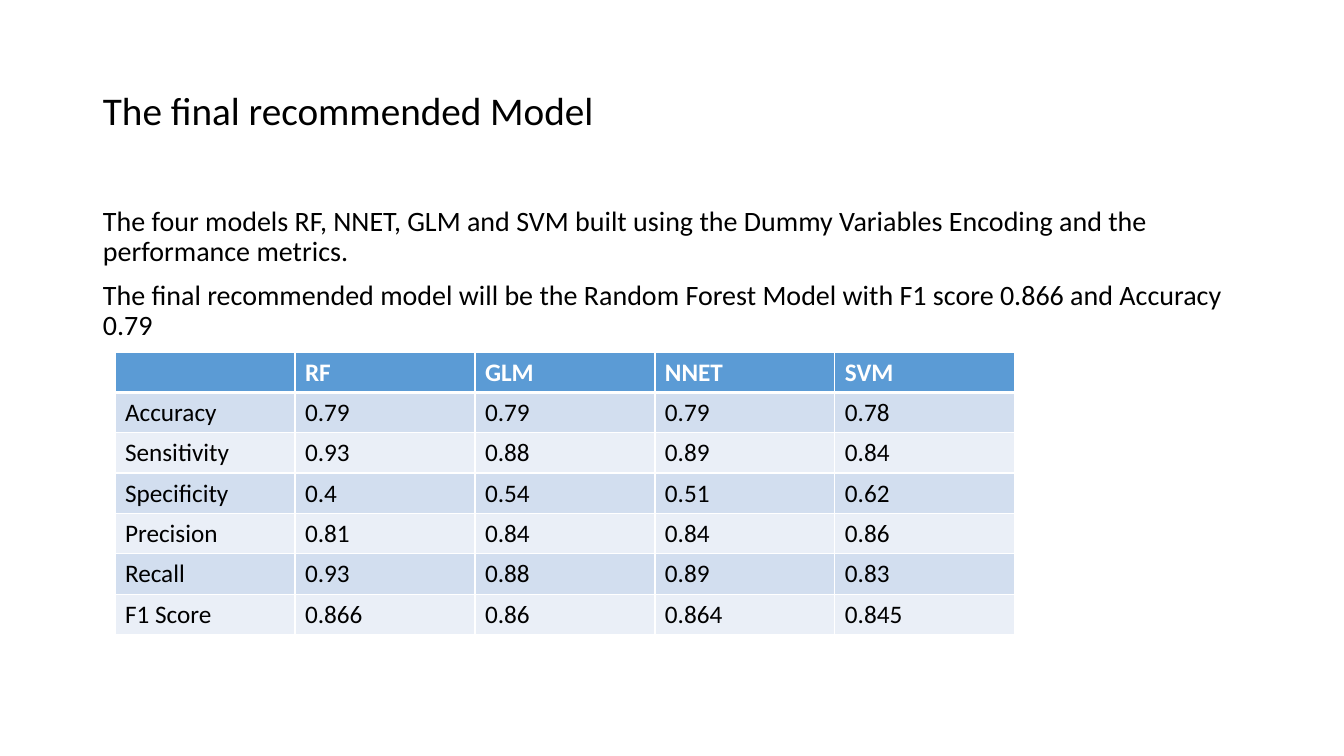
import dataclasses

import lxml.etree
import pptx
import pptx.dml.color
import pptx.enum.text
import pptx.oxml.ns
import pptx.util

PX = 914400 / 100.8
FONT = "Calibri"
BLACK, WHITE = "000000", "FFFFFF"
HEAD, BANDS = "5B9BD5", ("D2DEEF", "EAEFF7")


@dataclasses.dataclass
class Block:
    """A text box with its place in px and the format of its lines."""
    left: int
    top: int
    width: int
    height: int
    lines: list[str]
    size: int
    before: int
    anchor: pptx.enum.text.MSO_ANCHOR


@dataclasses.dataclass
class Metric:
    """One row of the score table."""
    name: str
    scores: tuple[str, ...]


BLOCKS = [
    Block(93, 40, 1159, 146, ["The final recommended Model"], 28, 0,
          pptx.enum.text.MSO_ANCHOR.MIDDLE),
    Block(93, 202, 1159, 480, [
        "The four models RF, NNET, GLM and SVM built using the Dummy Variables "
        "Encoding and the performance metrics.",
        "The final recommended model will be the Random Forest Model with "
        "F1 score 0.866 and Accuracy 0.79",
    ], 20, 10, pptx.enum.text.MSO_ANCHOR.TOP),
]

METRICS = [
    Metric("", ("RF", "GLM", "NNET", "SVM")),
    Metric("Accuracy", ("0.79", "0.79", "0.79", "0.78")),
    Metric("Sensitivity", ("0.93", "0.88", "0.89", "0.84")),
    Metric("Specificity", ("0.4", "0.54", "0.51", "0.62")),
    Metric("Precision", ("0.81", "0.84", "0.84", "0.86")),
    Metric("Recall", ("0.93", "0.88", "0.89", "0.83")),
    Metric("F1 Score", ("0.866", "0.86", "0.864", "0.845")),
]


def emu(px: int) -> int:
    return round(px * PX)


def color(code: str) -> pptx.dml.color.RGBColor:
    return pptx.dml.color.RGBColor.from_string(code)


def write(para, text: str, *, size: int, fill: str = BLACK, bold: bool = False,
          before: int = 0, lead: float = 1.0) -> None:
    para.line_spacing = lead
    para.space_before = pptx.util.Pt(before)
    if not text:
        para.font.size = pptx.util.Pt(size)
        return
    run = para.add_run()
    run.text = text
    run.font.name = FONT
    run.font.size = pptx.util.Pt(size)
    run.font.bold = bold
    run.font.color.rgb = color(fill)


def draw_block(slide, block: Block) -> None:
    box = slide.shapes.add_textbox(emu(block.left), emu(block.top),
                                   emu(block.width), emu(block.height))
    frame = box.text_frame
    frame.word_wrap = True
    frame.vertical_anchor = block.anchor
    for i, line in enumerate(block.lines):
        para = frame.add_paragraph() if i else frame.paragraphs[0]
        write(para, line, size=block.size, before=block.before, lead=0.9)


def edge(cell, widths: dict[str, int]) -> None:
    """Give a cell white borders, which must come before its fill."""
    name = pptx.oxml.ns.qn
    props = cell._tc.get_or_add_tcPr()
    for i, (side, width) in enumerate(widths.items()):
        line = lxml.etree.Element(name(f"a:ln{side}"), w=str(pptx.util.Pt(width)))
        solid = lxml.etree.SubElement(line, name("a:solidFill"))
        lxml.etree.SubElement(solid, name("a:srgbClr"), val=WHITE)
        props.insert(i, line)


def draw_table(slide, metrics: list[Metric], left: int, top: int,
               wide: int, high: int) -> None:
    rows, cols = len(metrics), len(metrics[0].scores) + 1
    table = slide.shapes.add_table(rows, cols, emu(left), emu(top),
                                   emu(wide * cols), emu(high * rows)).table
    for r, metric in enumerate(metrics):
        first = r == 0
        for c, text in enumerate((metric.name, *metric.scores)):
            cell = table.cell(r, c)
            cell.fill.solid()
            cell.fill.fore_color.rgb = color(HEAD if first else BANDS[(r - 1) % 2])
            edge(cell, {"L": 1, "R": 1, "T": 3 if r == 1 else 1,
                        "B": 3 if first else 1})
            write(cell.text_frame.paragraphs[0], text, size=18, bold=first,
                  fill=WHITE if first else BLACK)


def main() -> None:
    deck = pptx.Presentation()
    deck.slide_width, deck.slide_height = emu(1344), emu(756)
    slide = deck.slides.add_slide(deck.slide_layouts[6])

    # Title and body text
    for block in BLOCKS:
        draw_block(slide, block)

    # Scores of the four models
    draw_table(slide, METRICS, left=115, top=352, wide=180, high=40)

    deck.save("out.pptx")


if __name__ == "__main__":
    main()
